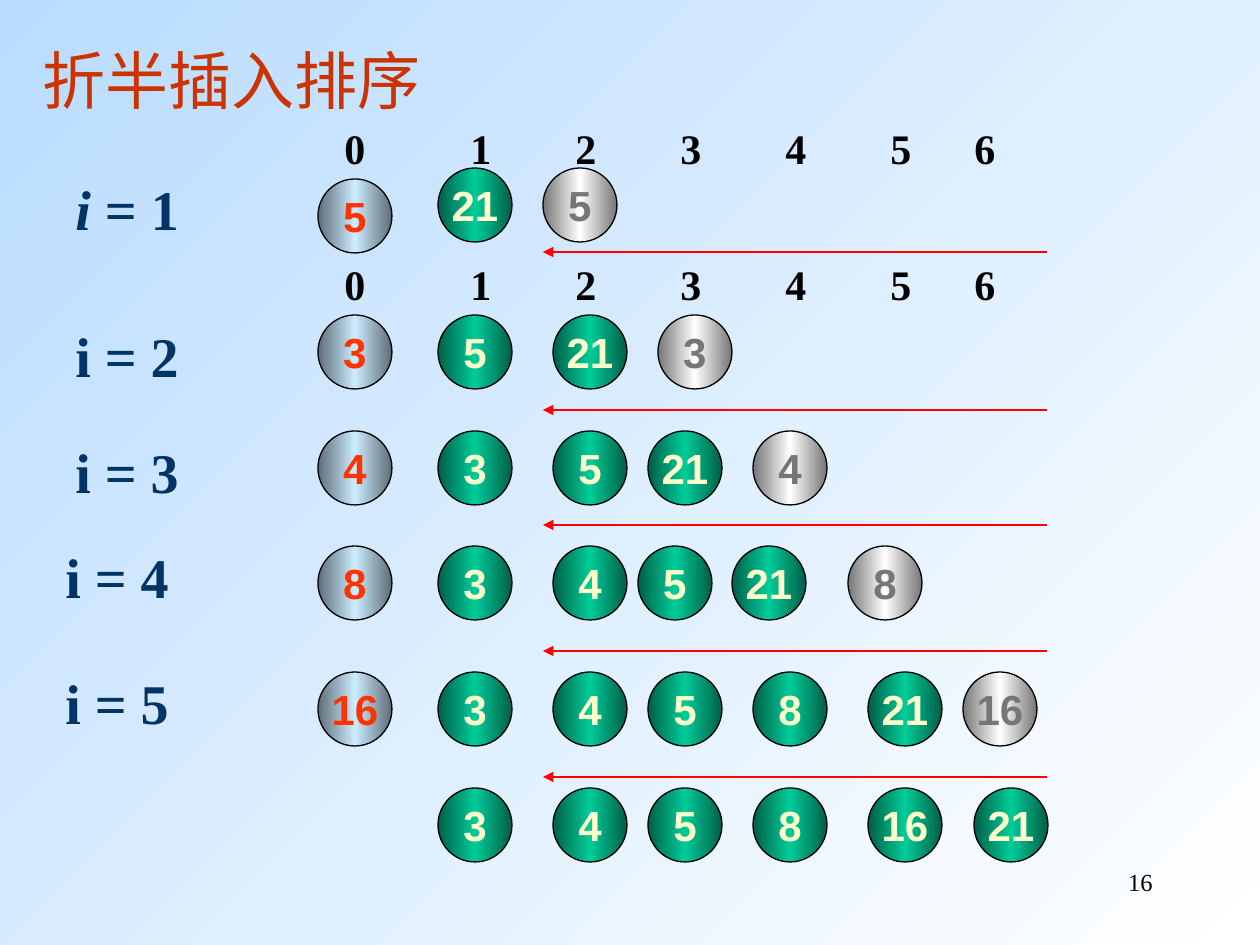
"""Build the binary insertion sort slide."""
from copy import deepcopy

from lxml.etree import SubElement
from pptx import Presentation
from pptx.dml.color import RGBColor
from pptx.enum.shapes import MSO_CONNECTOR, MSO_SHAPE
from pptx.enum.text import MSO_ANCHOR, PP_ALIGN
from pptx.oxml.ns import qn
from pptx.util import Emu, Pt

SCALE = 914400 / 126
COLORS = {
    "title": "CC3300", "label": "003366", "black": "000000", "arrow": "FF0000",
    "sky": "B9DCFF", "white": "FFFFFF",
}
BALLS = {
    "key": (("5E6D76", "CCECFF", "5E6D76"), "FF3300"),
    "sorted": (("005E47", "00CC99", "005E47"), "FFFFCC"),
    "pending": (("767676", "FFFFFF", "767676"), "767676"),
}
SERIF, SANS = "Times New Roman", "Arial"
DIAMETER = 74
KEY_LEFT = 318
ARROW_LEFT, ARROW_RIGHT = 543, 1047
INDEX_LEFT = 332
INDEX_TOPS = (116, 252)
INDEX_STOPS = (126, 231, 336, 441, 546, 630)

STEPS = [
    {"label": [("i ", True), ("= 1", False)], "at": (63, 168), "key": (5, 179),
     "sorted": [(21, 438)], "pending": (5, 543), "top": 168, "arrow": 252},
    {"label": [("i = 2", False)], "at": (63, 315), "key": (3, 315),
     "sorted": [(5, 438), (21, 553)], "pending": (3, 658), "top": 315, "arrow": 410},
    {"label": [("i = 3", False)], "at": (63, 431), "key": (4, 431),
     "sorted": [(3, 438), (5, 553), (21, 648)], "pending": (4, 753),
     "top": 431, "arrow": 525},
    {"label": [("i = 4", False)], "at": (53, 536), "key": (8, 546),
     "sorted": [(3, 438), (4, 553), (5, 638), (21, 732)], "pending": (8, 848),
     "top": 546, "arrow": 651},
    {"label": [("i = 5", False)], "at": (53, 662), "key": (16, 672),
     "sorted": [(3, 438), (4, 553), (5, 648), (8, 753), (21, 868)],
     "pending": (16, 963), "top": 672, "arrow": 777},
]
RESULT = [(3, 438), (4, 553), (5, 648), (8, 753), (16, 868), (21, 974)]
RESULT_TOP = 788


def px(value):
    return Emu(round(value * SCALE))


def rgb(name):
    return RGBColor.from_string(COLORS.get(name, name))


def set_gradient(fill, element, colors, angle):
    fill.gradient()
    fill.gradient_angle = angle
    stops = next(element.iter(qn("a:gsLst")))
    for _ in colors[2:]:
        stops.append(deepcopy(stops[0]))
    for index, (stop, color) in enumerate(zip(fill.gradient_stops, colors)):
        stop.position = index / (len(colors) - 1)
        stop.color.rgb = rgb(color)


def add_run(paragraph, text, font, size, color, bold=False, italic=False):
    run = paragraph.add_run()
    run.text = text
    run.font.name = font
    run.font.size = Pt(size)
    run.font.color.rgb = rgb(color)
    run.font.bold = bold
    run.font.italic = italic


def add_text_box(slide, left, top, width, height, wrap=True):
    frame = slide.shapes.add_textbox(px(left), px(top), px(width), px(height)).text_frame
    frame.word_wrap = wrap
    return frame


def add_index_row(slide, top):
    paragraph = add_text_box(slide, INDEX_LEFT, top, 687, 63).paragraphs[0]
    tabs = SubElement(paragraph._p.get_or_add_pPr(), qn("a:tabLst"))
    for stop in INDEX_STOPS:
        SubElement(tabs, qn("a:tab"), pos=str(px(stop)), algn="l")
    text = "\t".join(str(number) for number in range(len(INDEX_STOPS) + 1))
    add_run(paragraph, text, SERIF, 24, "black", bold=True)


def add_ball(slide, kind, number, left, top):
    gradient, text_color = BALLS[kind]
    shape = slide.shapes.add_shape(
        MSO_SHAPE.OVAL, px(left), px(top), px(DIAMETER), px(DIAMETER))
    shape.shadow.inherit = False
    set_gradient(shape.fill, shape._element, gradient, 0)
    shape.line.color.rgb = rgb("black")
    shape.line.width = Pt(0.75)
    frame = shape.text_frame
    frame.word_wrap = False
    frame.vertical_anchor = MSO_ANCHOR.MIDDLE
    paragraph = frame.paragraphs[0]
    paragraph.alignment = PP_ALIGN.CENTER
    add_run(paragraph, str(number), SANS, 24, text_color, bold=True)


def add_arrow(slide, top):
    connector = slide.shapes.add_connector(
        MSO_CONNECTOR.STRAIGHT, px(ARROW_RIGHT), px(top), px(ARROW_LEFT), px(top))
    connector.line.color.rgb = rgb("arrow")
    connector.line.width = Pt(0.75)
    properties = connector._element.spPr
    SubElement(properties.find(qn("a:ln")), qn("a:tailEnd"), type="triangle")
    SubElement(properties, qn("a:effectLst"))


def add_step(slide, step):
    frame = add_text_box(slide, *step["at"], 129, 81, wrap=False)
    for text, italic in step["label"]:
        add_run(frame.paragraphs[0], text, SERIF, 32, "label", bold=True, italic=italic)
    key, key_top = step["key"]
    add_ball(slide, "key", key, KEY_LEFT, key_top)
    for number, left in step["sorted"]:
        add_ball(slide, "sorted", number, left, step["top"])
    add_ball(slide, "pending", *step["pending"], step["top"])
    add_arrow(slide, step["arrow"])


def main():
    presentation = Presentation()
    presentation.slide_width, presentation.slide_height = px(1260), px(945)
    slide = presentation.slides.add_slide(presentation.slide_layouts[6])
    set_gradient(slide.background.fill, slide._element, ("sky", "white"), 315)

    title = add_text_box(slide, 21, 21, 420, 116)
    title.vertical_anchor = MSO_ANCHOR.MIDDLE
    title.paragraphs[0].alignment = PP_ALIGN.CENTER
    add_run(title.paragraphs[0], "折半插入排序", SERIF, 36, "title")

    for top in INDEX_TOPS:
        add_index_row(slide, top)
    for step in STEPS:
        add_step(slide, step)
    for number, left in RESULT:
        add_ball(slide, "sorted", number, left, RESULT_TOP)

    page = add_text_box(slide, 903, 861, 262, 63).paragraphs[0]
    page.alignment = PP_ALIGN.RIGHT
    add_run(page, "16", SERIF, 14, "black")
    presentation.save("out.pptx")


if __name__ == "__main__":
    main()
